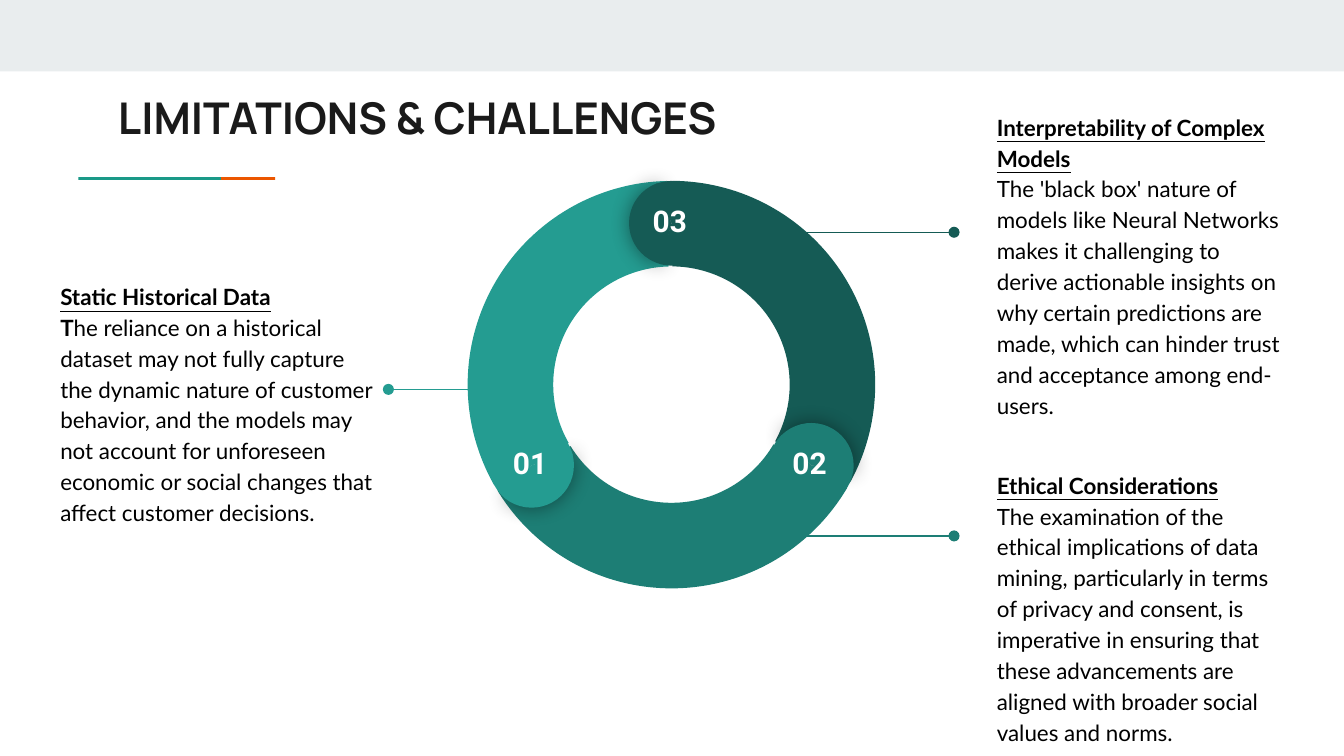
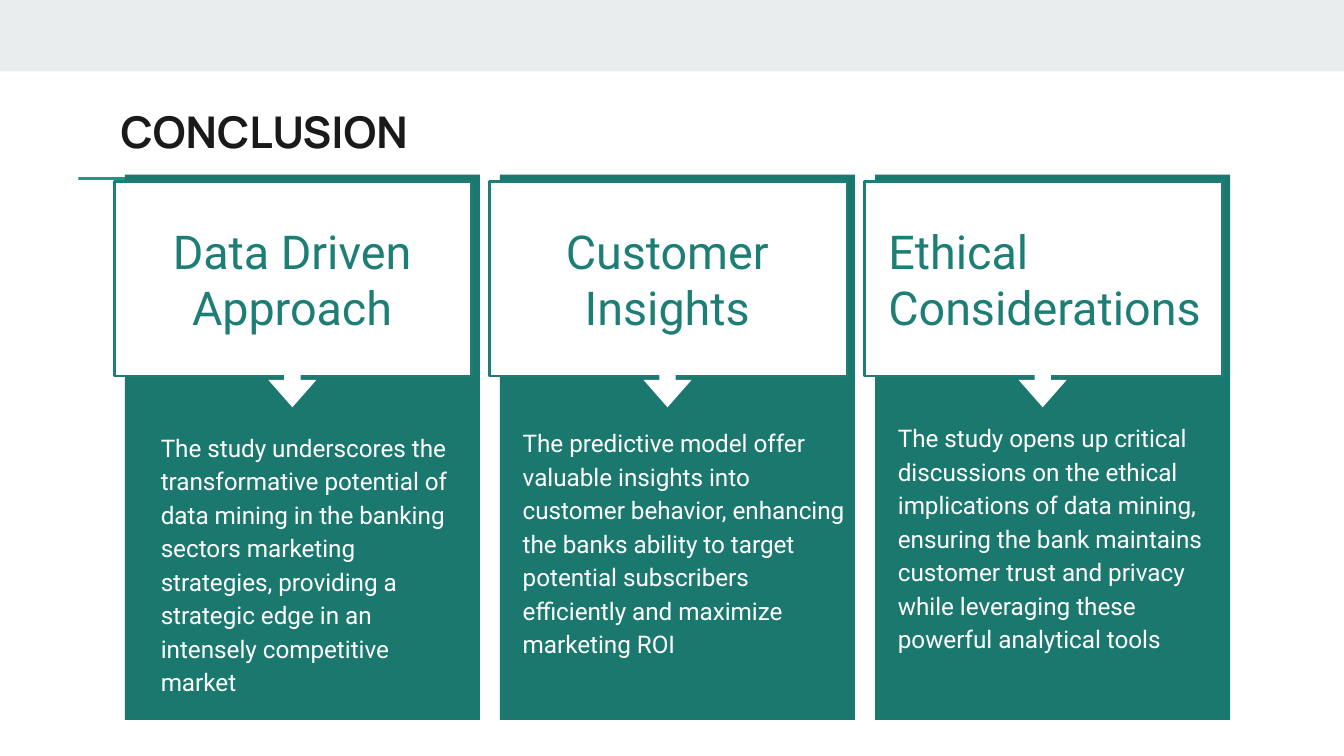
import math

import pptx
import pptx.dml.color
import pptx.enum.shapes
import pptx.enum.text
import pptx.oxml
import pptx.oxml.ns
import pptx.util

Cm = pptx.util.Cm
Pt = pptx.util.Pt
SHAPE = pptx.enum.shapes.MSO_SHAPE
ALIGN = pptx.enum.text.PP_ALIGN
ANCHOR = pptx.enum.text.MSO_ANCHOR

WHITE = "FFFFFF"
BLACK = "000000"
BAND = "E9EDEE"
INK = "1A1A1A"
ORANGE = "EB5600"
ACCENT = "1A9988"
LIGHT = "249C91"
MID = "1D7E75"
DARK = "155B55"
CARD = "1B786F"

INSET = 0.25
SPACING = 1.15


def rgb(value):
    return pptx.dml.color.RGBColor.from_string(value)


def add_xml(parent, xml):
    head, rest = xml.split(" ", 1) if " " in xml.split(">")[0] else (xml[:-2], "/>")
    element = pptx.oxml.parse_xml(f"{head} {pptx.oxml.ns.nsdecls('a')} {rest}")
    parent.append(element)


def format_run(r, font, size, color, bold=False, underline=False):
    r.font.name = font
    r.font.size = Pt(size)
    r.font.bold = bold
    r.font.underline = underline
    r.font.color.rgb = rgb(color)


def write(sp, paragraphs, align=ALIGN.LEFT, anchor=ANCHOR.TOP, spacing=1.0,
          left=INSET, right=INSET, bottom=INSET, **font):
    """Fill a shape; each paragraph is a list of (text, font overrides)."""
    tf = sp.text_frame
    tf.word_wrap = True
    tf.auto_size = pptx.enum.text.MSO_AUTO_SIZE.NONE
    tf.vertical_anchor = anchor
    tf.margin_left, tf.margin_right = Cm(left), Cm(right)
    tf.margin_top, tf.margin_bottom = Cm(INSET), Cm(bottom)
    for i, runs in enumerate(paragraphs):
        p = tf.paragraphs[0] if i == 0 else tf.add_paragraph()
        p.alignment = align
        p.line_spacing = spacing
        p.space_before = Pt(0)
        for text, changes in runs:
            r = p.add_run()
            r.text = text
            format_run(r, **{**font, **changes})


def add_text(s, box, text, **fmt):
    paragraphs = [[(text, {})]] if isinstance(text, str) else text
    write(s.shapes.add_textbox(*map(Cm, box)), paragraphs, **fmt)


def add_shape(s, kind, box, fill, line=None, rotation=0, adjust=()):
    sp = s.shapes.add_shape(kind, *map(Cm, box))
    sp.shadow.inherit = False
    sp.fill.solid()
    sp.fill.fore_color.rgb = rgb(fill)
    if line:
        sp.line.color.rgb = rgb(line)
        sp.line.width = Pt(1.5)
    else:
        sp.line.fill.background()
    sp.rotation = rotation
    for i, value in enumerate(adjust):
        sp.adjustments[i] = value
    return sp


def add_glow(sp):
    """Give the shape a soft dark shadow on all sides."""
    effects = sp._element.spPr.find(pptx.oxml.ns.qn("a:effectLst"))
    add_xml(effects, f'<a:outerShdw blurRad="{Pt(11.2)}" dist="0" algn="ctr" rotWithShape="0">'
                     f'<a:srgbClr val="{BLACK}"><a:alpha val="43000"/></a:srgbClr></a:outerShdw>')


def add_pointer(s, x1, x2, y, color):
    """Draw a horizontal line with a dot at its far end."""
    line = s.shapes.add_connector(pptx.enum.shapes.MSO_CONNECTOR.STRAIGHT,
                                  Cm(x1), Cm(y), Cm(x2), Cm(y))
    line.line.color.rgb = rgb(color)
    line.line.width = Pt(0.75)
    add_xml(line.line._get_or_add_ln(), '<a:tailEnd type="oval"/>')
    add_xml(line._element.spPr, "<a:effectLst/>")


def add_titled_slide(prs, title, left, top):
    s = prs.slides.add_slide(prs.slide_layouts[5])
    add_shape(s, SHAPE.RECTANGLE, (0, 0, 25.4, 1.35), BAND)
    add_shape(s, SHAPE.RECTANGLE, (1.48, 3.35, 2.7, 0.05), ACCENT)
    add_shape(s, SHAPE.RECTANGLE, (4.18, 3.35, 1.02, 0.05), ORANGE)
    sp = s.shapes.title
    sp.left, sp.top, sp.width, sp.height = map(Cm, (left, top, 21.36, 1.5))
    write(sp, [[(title, {})]], font="Manrope", size=23.4, color=INK, bold=True)
    return s


def add_ring(s, left, top, size):
    """Draw three overlapping arcs, each with a numbered round cap."""
    cap = 1.6
    radius = (size - cap) / 2
    parts = [("01", 240, LIGHT), ("03", 0, DARK), ("02", 120, MID)]
    for _, turn, color in sorted(parts, reverse=True):
        add_shape(s, SHAPE.BLOCK_ARC, (left, top, size, size), color,
                  rotation=(turn + 60) % 360, adjust=(126.23, 197.2, 0.21))
    for number, turn, color in parts:
        angle = math.radians(turn - 90)
        x = left + radius * (1 + math.cos(angle))
        y = top + radius * (1 + math.sin(angle))
        add_glow(add_shape(s, SHAPE.PIE, (x, y, cap, cap), color,
                           rotation=turn + 0.7, adjust=(61.9, 149.96)))
        add_shape(s, SHAPE.PIE, (x, y, cap, cap), color,
                  rotation=(turn + 180) % 360, adjust=(40.28, 171.84))
        add_text(s, (x + 0.15, y + 0.16, 1.42, 0.74), number, align=ALIGN.CENTER,
                 right=0.43, font="Roboto", size=16, color=WHITE, bold=True)


def add_challenge(s, box, heading, *body):
    add_text(s, box, [[(heading, {"bold": True, "underline": True})], body],
             anchor=ANCHOR.MIDDLE, spacing=SPACING, bottom=0.58,
             font="Lato", size=12, color=BLACK)


def add_challenges_slide(prs):
    s = add_titled_slide(prs, "LIMITATIONS & CHALLENGES", 1.98, 1.47)
    add_challenge(
        s, (0.89, 4.6, 6.45, 6.35), "Static Historical Data", ("T", {"bold": True}),
        ("he reliance on a historical dataset may not fully capture the dynamic nature of "
         "customer behavior, and the models may not account for unforeseen economic or "
         "social changes that affect customer decisions.", {}))
    add_challenge(
        s, (18.59, 2.62, 5.89, 5.08), "Interpretability of Complex Models",
        ("The 'black box' nature of models like Neural Networks makes it challenging to "
         "derive actionable insights on why certain predictions are made, which can hinder "
         "trust and acceptance among end-users.", {}))
    add_challenge(
        s, (18.59, 8.97, 5.89, 5.33), "Ethical Considerations",
        ("The examination of the ethical implications of data mining, particularly in terms "
         "of privacy and consent, is imperative in ensuring that these advancements are "
         "aligned with broader social values and norms.", {}))
    add_pointer(s, 9.09, 7.34, 7.36, LIGHT)
    add_pointer(s, 14.48, 18.03, 4.39, DARK)
    add_pointer(s, 14.48, 18.03, 10.13, MID)
    add_ring(s, 8.84, 3.42, 7.7)


def add_card(s, left, top, heading, heading_at, align, body, body_at, indent=0):
    """Place a card; heading_at is (x, width) and body_at (x, y, width) from its corner."""
    add_shape(s, SHAPE.RECTANGLE, (left, top, 6.71, 10.31), CARD)
    add_shape(s, SHAPE.RECTANGLE, (left - 0.2, top + 0.13, 6.76, 3.68), WHITE, line=MID)
    x, width = heading_at
    add_text(s, (left + x, top + 0.67, width, 3), heading, align=align,
             font="Roboto", size=25, color=MID)
    add_shape(s, SHAPE.RIGHT_ARROW, (left + 2.67, top + 3.45, 0.99, 0.91), WHITE,
              rotation=90, adjust=(0.34, 0.57))
    x, y, width = body_at
    add_text(s, (left + x, top + y, width, 5.1), body, spacing=SPACING,
             left=INSET + indent, font="Roboto", size=13, color=WHITE)


def add_conclusion_slide(prs):
    s = add_titled_slide(prs, "CONCLUSION", 2.03, 1.73)
    cards = [
        ("Data Driven Approach", (0.16, 6), ALIGN.CENTER,
         "The study underscores the transformative potential of data mining in the banking "
         "sectors marketing strategies, providing a strategic edge in an intensely "
         "competitive market", (-0.84, 4.55, 7.34), 1.27),
        ("Customer Insights", (0.16, 6), ALIGN.CENTER,
         "The predictive model offer valuable insights into customer behavior, enhancing "
         "the banks ability to target potential subscribers efficiently and maximize "
         "marketing ROI", (0.18, 4.47, 6.71)),
        ("Ethical Considerations", (0, 6.5), ALIGN.LEFT,
         "The study opens up critical discussions on the ethical implications of data "
         "mining, ensuring the bank maintains customer trust and privacy while leveraging "
         "these powerful analytical tools", (0.18, 4.37, 6.76)),
    ]
    for i, card in enumerate(cards):
        add_card(s, 2.36 + 7.09 * i, 3.3, *card)


def main():
    prs = pptx.Presentation()
    prs.slide_width, prs.slide_height = Cm(25.4), Cm(14.29)
    add_challenges_slide(prs)
    add_conclusion_slide(prs)
    prs.save("out.pptx")


if __name__ == "__main__":
    main()
